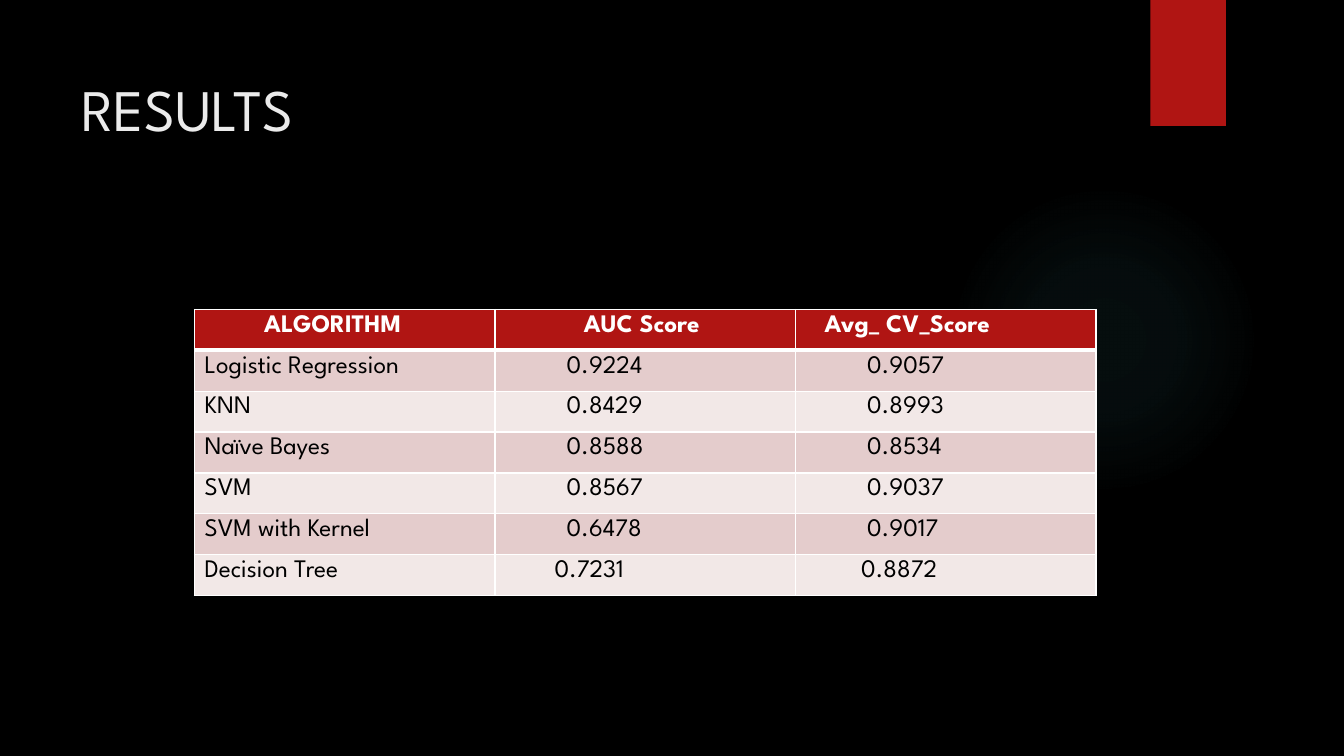
"""Build the results slide with its table of algorithm scores."""
from lxml import etree
from pptx import Presentation
from pptx.dml.color import RGBColor
from pptx.enum.shapes import MSO_SHAPE
from pptx.oxml import parse_xml
from pptx.oxml.ns import nsdecls, qn
from pptx.util import Inches, Pt

FONT = "League Spartan"
RED = "B01513"
WHITE = "FFFFFF"
BANDS = ("E4CCCC", "F2E8E7")
GLOW = "50B9C1"
GLOW_STOPS = ((0, 7), (36, 6), (69, 0))

HEADER = ("ALGORITHM", "AUC Score", "Avg_ CV_Score")
SCORES = (
    ("Logistic Regression", "0.9224", "0.9057"),
    ("KNN", "0.8429", "0.8993"),
    ("Naïve Bayes", "0.8588", "0.8534"),
    ("SVM", "0.8567", "0.9037"),
    ("SVM with Kernel", "0.6478", "0.9017"),
    ("Decision Tree", "0.7231", "0.8872"),
)
HEADER_INDENTS = (0.69, 0.88, 0.29)
SCORE_INDENTS = (0.1, 0.71, 0.71)
LAST_INDENTS = (0.1, 0.59, 0.65)


def set_fill(fill, color):
    """Give a fill one solid colour."""
    fill.solid()
    fill.fore_color.rgb = RGBColor.from_string(color)


def write(frame, text, size, color, bold=False):
    """Write one styled line of text into a frame."""
    run = frame.paragraphs[0].add_run()
    run.text = text
    run.font.name = FONT
    run.font.size = Pt(size)
    run.font.bold = bold
    run.font.color.rgb = RGBColor.from_string(color)


def add_plain_shape(slide, kind, box, color):
    """Add a filled preset shape without outline or shadow."""
    shape = slide.shapes.add_shape(kind, *map(Inches, box))
    shape.shadow.inherit = False
    set_fill(shape.fill, color)
    shape.line.fill.background()
    return shape


def add_glow(slide, box):
    """Add a circle that fades out from its centre."""
    circle = add_plain_shape(slide, MSO_SHAPE.OVAL, box, GLOW)
    stops = "".join(
        f'<a:gs pos="{pos * 1000}"><a:srgbClr val="{GLOW}">'
        f'<a:alpha val="{alpha * 1000}"/></a:srgbClr></a:gs>'
        for pos, alpha in GLOW_STOPS
    )
    gradient = parse_xml(
        f'<a:gradFill {nsdecls("a")}><a:gsLst>{stops}</a:gsLst><a:path path="circle">'
        '<a:fillToRect l="50000" t="50000" r="50000" b="50000"/></a:path></a:gradFill>'
    )
    properties = circle.fill._xPr
    properties.replace(properties.find(qn("a:solidFill")), gradient)


def add_title(slide, text, box):
    """Add the slide title."""
    frame = slide.shapes.add_textbox(*map(Inches, box)).text_frame
    frame.word_wrap = True
    frame.margin_top = Inches(0.22)
    write(frame, text, 42, "EBEBEB")


def set_borders(cell, widths):
    """Draw white cell borders, with widths in points by side."""
    properties = cell._tc.get_or_add_tcPr()
    for index, side in enumerate("LRTB"):
        line = etree.Element(qn(f"a:ln{side}"), w=str(Pt(widths[side])))
        solid = etree.SubElement(line, qn("a:solidFill"))
        etree.SubElement(solid, qn("a:srgbClr"), val=WHITE)
        properties.insert(index, line)


def fill_row(table, row, texts, indents, color, fill, bold=False):
    """Fill one table row with indented texts."""
    widths = dict.fromkeys("LRTB", 1)
    if row == 0:
        widths["B"] = 3
    elif row == 1:
        widths["T"] = 3
    for column, (text, indent) in enumerate(zip(texts, indents)):
        cell = table.cell(row, column)
        cell.margin_left = Inches(indent)
        write(cell.text_frame, text, 18, color, bold)
        set_fill(cell.fill, fill)
        set_borders(cell, widths)


def add_scores(slide, box):
    """Add the table of scores with a red header and banded rows."""
    count = len(SCORES) + 1
    table = slide.shapes.add_table(count, len(HEADER), *map(Inches, box)).table
    table.first_row = table.horz_banding = False
    fill_row(table, 0, HEADER, HEADER_INDENTS, WHITE, RED, bold=True)
    for row, texts in enumerate(SCORES, 1):
        indents = LAST_INDENTS if row == len(SCORES) else SCORE_INDENTS
        fill_row(table, row, texts, indents, "000000", BANDS[(row - 1) % 2])


def main():
    """Build and save the slide."""
    deck = Presentation()
    deck.slide_width, deck.slide_height = Inches(13.33), Inches(7.5)
    slide = deck.slides.add_slide(deck.slide_layouts[6])
    set_fill(slide.background.fill, "000000")
    add_glow(slide, (9.41, 1.83, 3.08, 3.08))
    add_plain_shape(slide, MSO_SHAPE.RECTANGLE, (11.41, 0, 0.75, 1.25), RED)
    add_title(slide, "RESULTS", (0.71, 0.5, 10.29, 1.53))
    add_scores(slide, (1.93, 3.07, 8.94, 2.84))
    deck.save("out.pptx")


main()
